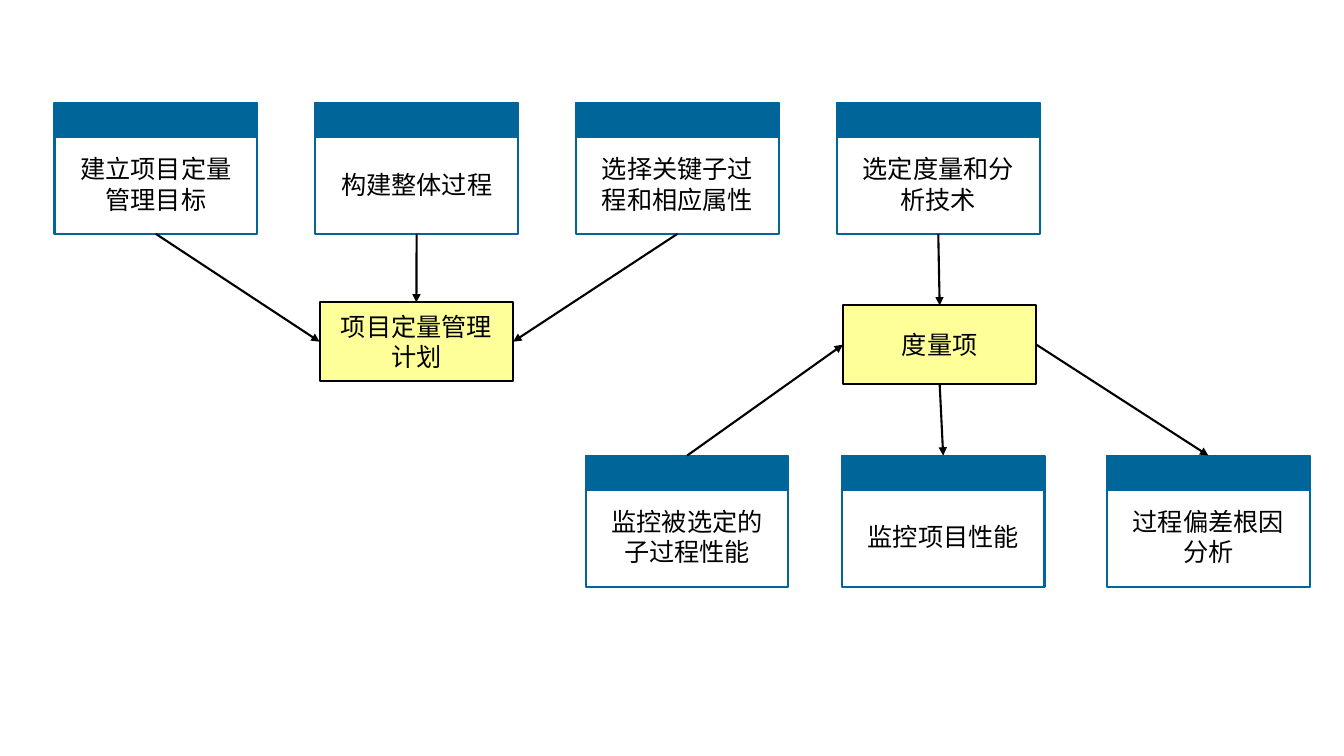
from pptx import Presentation
from pptx.util import Inches, Pt
from pptx.dml.color import RGBColor as RGB
from pptx.enum.shapes import MSO_SHAPE as Shape, MSO_CONNECTOR as Link
from pptx.enum.text import PP_ALIGN as Align, MSO_ANCHOR as Anchor
from pptx.oxml.ns import qn
from lxml.etree import SubElement as Sub

COLORS = {"blue": "006699", "yellow": "FFFF9A", "black": "000000"}
FONT = "Noto Sans CJK SC"
STEP_W, STEP_H, HEAD_H = 2.01, 1.3, 0.34
ITEM_W, ITEM_H = 1.92, 0.78
LEFT, PITCH, TOP, LOW = 0.54, 2.587, 1.02, 4.52

deck = Presentation()
deck.slide_width, deck.slide_height = Inches(13.33), Inches(7.5)
slide = deck.slides.add_slide(deck.slide_layouts[6])


def add_box(shapes, x, y, w, h, fill, line):
    box = shapes.add_shape(Shape.RECTANGLE, Inches(x), Inches(y), Inches(w), Inches(h))
    box.shadow.inherit = False
    if fill:
        box.fill.solid()
        box.fill.fore_color.rgb = RGB.from_string(COLORS[fill])
    else:
        box.fill.background()
    box.line.color.rgb = RGB.from_string(COLORS[line])
    box.line.width = Pt(1.5)
    return box


def add_text(box, text, top):
    frame = box.text_frame
    frame.word_wrap = True
    frame.vertical_anchor = Anchor.MIDDLE
    frame.margin_top, frame.margin_bottom = Inches(top), 0
    frame.text = text
    for para in frame.paragraphs:
        para.alignment = Align.CENTER
        para.font.size = Pt(18)
        para.font.name = FONT
        para.font.color.rgb = RGB.from_string(COLORS["black"])
        props = para._p.pPr.find(qn("a:defRPr"))
        Sub(props, qn("a:ea")).set("typeface", FONT)


steps = [
    ("goal", LEFT, TOP, "建立项目定量\n管理目标"),
    ("whole", LEFT + PITCH, TOP, "构建整体过程"),
    ("key", LEFT + 2 * PITCH, TOP, "选择关键子过\n程和相应属性"),
    ("method", LEFT + 3 * PITCH, TOP, "选定度量和分\n析技术"),
    ("watch", 5.81, LOW, "监控被选定的\n子过程性能"),
    ("track", 8.35, LOW, "监控项目性能"),
    ("cause", 10.98, LOW, "过程偏差根因\n分析"),
]
items = [
    ("plan", 3.17, 3.0, "项目定量管理\n计划"),
    ("metric", 8.36, 3.03, "度量项"),
]
boxes = {}
for name, x, y, text in steps:
    group = slide.shapes.add_group_shape()
    boxes[name] = add_box(group.shapes, x, y, STEP_W, STEP_H, None, "blue")
    add_text(boxes[name], text, HEAD_H - 0.03)
    add_box(group.shapes, x, y, STEP_W, HEAD_H, "blue", "blue")
for name, x, y, text in items:
    boxes[name] = add_box(slide.shapes, x, y, ITEM_W, ITEM_H, "yellow", "black")
    add_text(boxes[name], text, 0)

links = [
    ("goal", 2, "plan", 1),
    ("whole", 2, "plan", 0),
    ("key", 2, "plan", 3),
    ("method", 2, "metric", 0),
    ("metric", 2, "track", 0),
    ("watch", 0, "metric", 1),
    ("metric", 3, "cause", 0),
]
for start, out, end, into in links:
    arrow = slide.shapes.add_connector(Link.STRAIGHT, 0, 0, 0, 0)
    arrow.begin_connect(boxes[start], out)
    arrow.end_connect(boxes[end], into)
    arrow.line.color.rgb = RGB.from_string(COLORS["black"])
    arrow.line.width = Pt(1.5)
    Sub(arrow.line._get_or_add_ln(), qn("a:tailEnd")).set("type", "triangle")
    Sub(arrow._element.spPr, qn("a:effectLst"))

deck.save("out.pptx")
